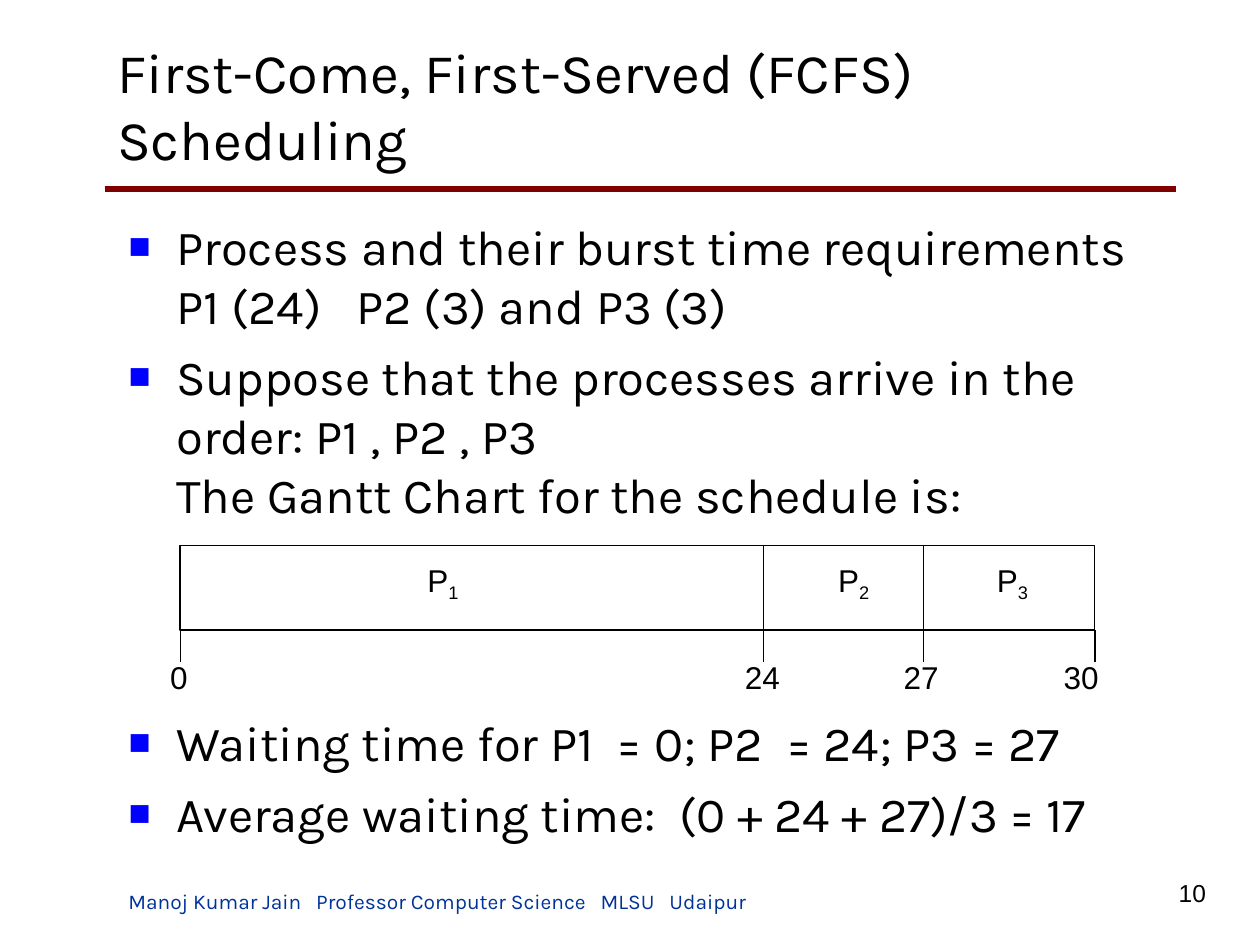
from lxml import etree
from pptx import Presentation
from pptx.dml.color import RGBColor
from pptx.enum.shapes import MSO_CONNECTOR, MSO_SHAPE
from pptx.enum.text import MSO_ANCHOR as ANCHOR, MSO_AUTO_SIZE as AUTO, PP_ALIGN as ALIGN
from pptx.oxml.ns import qn
from pptx.util import Inches, Pt

COLORS = {"text": "000000", "rule": "800000", "footer": "003399",
          "bullet": "0000FF", "bar": "FFFFFF"}

BULLETS = [
    ["Process and their burst time requirements", "P1 (24)   P2 (3) and P3 (3)"],
    ["Suppose that the processes arrive in the order: P1 , P2 , P3",
     "The Gantt Chart for the schedule is:"],
    ["Waiting time for P1  = 0; P2  = 24; P3 = 27"],
    ["Average waiting time:  (0 + 24 + 27)/3 = 17"],
]
CHART_GAP = Pt(108)  # room for the Gantt chart above the third bullet

# Time label, x of its tick, x of the label's centre
TICKS = [("0", 1.43, 1.42), ("24", 6.06, 6.05), ("27", 7.33, 7.31), ("30", 8.69, 8.58)]
# Process number, x of the label's centre
PROCESSES = [("1", 3.52), ("2", 6.78), ("3", 8.04)]


def rgb(name):
    return RGBColor.from_string(COLORS[name])


def place(sp, x, y, w, h):
    sp.left, sp.top, sp.width, sp.height = map(Inches, (x, y, w, h))


def add_run(p, text, size, font="Karla", color="text"):
    r = p.add_run()
    r.text = text
    r.font.size, r.font.name = Pt(size), font
    r.font.color.rgb = rgb(color)
    return r


def add_line(shapes, x1, y1, x2, y2, color="text", width=0.75):
    line = shapes.add_connector(MSO_CONNECTOR.STRAIGHT, *map(Inches, (x1, y1, x2, y2)))
    line.line.color.rgb = rgb(color)
    line.line.width = Pt(width)
    etree.SubElement(line._element.spPr, qn("a:effectLst"))


def add_text_box(shapes, x, y, w, h, align=ALIGN.LEFT, anchor=ANCHOR.TOP, wrap=True):
    """Add an empty text box and return its first paragraph."""
    tf = shapes.add_textbox(*map(Inches, (x, y, w, h))).text_frame
    tf.word_wrap, tf.vertical_anchor = wrap, anchor
    p = tf.paragraphs[0]
    p.alignment = align
    return p


def set_bullet(p):
    pPr = p._p.get_or_add_pPr()
    pPr.set("marL", str(Inches(0.38)))
    pPr.set("indent", str(-Inches(0.38)))
    color = etree.SubElement(pPr, qn("a:buClr"))
    etree.SubElement(color, qn("a:srgbClr"), val=COLORS["bullet"])
    etree.SubElement(pPr, qn("a:buSzPct"), val="75000")
    etree.SubElement(pPr, qn("a:buFont"), typeface="Arial")
    etree.SubElement(pPr, qn("a:buChar"), char="■")


def add_title(s, x, y, w, h):
    sp = s.shapes.title
    place(sp, x, y, w, h)
    tf = sp.text_frame
    tf.auto_size, tf.word_wrap, tf.vertical_anchor = AUTO.NONE, True, ANCHOR.MIDDLE
    p = tf.paragraphs[0]
    p.alignment = ALIGN.LEFT
    add_run(p, "First-Come, First-Served (FCFS) Scheduling", 32)


def add_body(s, x, y, w, h):
    sp = s.placeholders[1]
    place(sp, x, y, w, h)
    tf = sp.text_frame
    tf.auto_size, tf.word_wrap, tf.vertical_anchor = AUTO.NONE, True, ANCHOR.TOP
    for i, lines in enumerate(BULLETS):
        p = tf.add_paragraph() if i else tf.paragraphs[0]
        p.space_before = CHART_GAP if i == 2 else Pt(7)
        set_bullet(p)
        for j, text in enumerate(lines):
            if j:
                p.add_line_break()
            add_run(p, text, 28)


def add_gantt(s, x, y, w, h):
    """Draw the schedule bar with its process names and time ticks."""
    shapes = s.shapes.add_group_shape().shapes
    bar = shapes.add_shape(MSO_SHAPE.RECTANGLE, *map(Inches, (x, y, w, h)))
    bar.shadow.inherit = False
    bar.fill.solid()
    bar.fill.fore_color.rgb = rgb("bar")
    bar.line.color.rgb = rgb("text")
    bar.line.width = Pt(0.75)
    bottom = y + h

    for number, center in PROCESSES:
        p = add_text_box(shapes, center - 0.23, y + 0.07, 0.45, 0.44,
                         ALIGN.CENTER, ANCHOR.MIDDLE, wrap=False)
        add_run(p, "P", 18, "Arial")
        r = add_run(p, number, 18, "Arial")
        r.font._element.set("baseline", "-25000")

    for _, tick, _ in TICKS[1:-1]:
        add_line(shapes, tick, y, tick, bottom)
    for label, tick, center in TICKS:
        add_line(shapes, tick, bottom, tick, bottom + 0.25)
        p = add_text_box(shapes, center - 0.24, bottom + 0.17, 0.48, 0.4,
                         ALIGN.CENTER, ANCHOR.MIDDLE, wrap=False)
        add_run(p, label, 18, "Arial")


def add_footer(s, x, y, w, h):
    p = add_text_box(s.shapes, x, y, w, h, anchor=ANCHOR.BOTTOM)
    add_run(p, "Manoj Kumar Jain   Professor Computer Science   MLSU   Udaipur",
            12, color="footer")


def add_page_number(s, x, y, w, h):
    p = add_text_box(s.shapes, x, y, w, h, align=ALIGN.RIGHT)
    add_run(p, "10", 14, "Arial")


def main():
    prs = Presentation()
    prs.slide_width, prs.slide_height = Inches(10), Inches(7.5)
    s = prs.slides.add_slide(prs.slide_layouts[1])
    add_line(s.shapes, 0.83, 1.5, 9.33, 1.5, "rule", 3)
    add_footer(s, 0.92, 7, 7.33, 0.3)
    add_page_number(s, 9, 6.92, 0.67, 0.33)
    add_title(s, 0.83, 0.33, 8.83, 1)
    add_body(s, 0.92, 1.67, 8.5, 5.08)
    add_gantt(s, 1.43, 4.33, 7.26, 0.67)
    prs.save("out.pptx")


if __name__ == "__main__":
    main()
